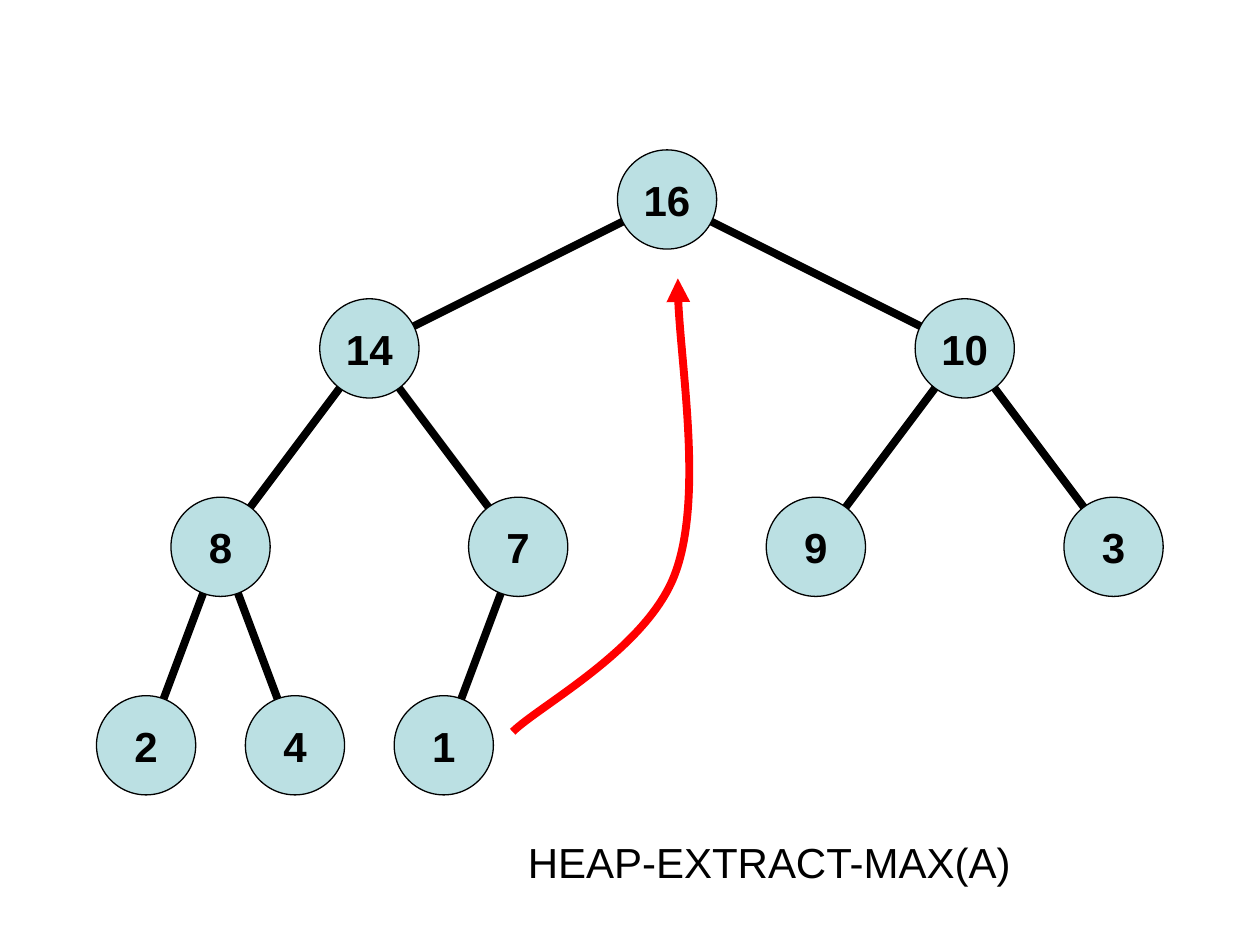
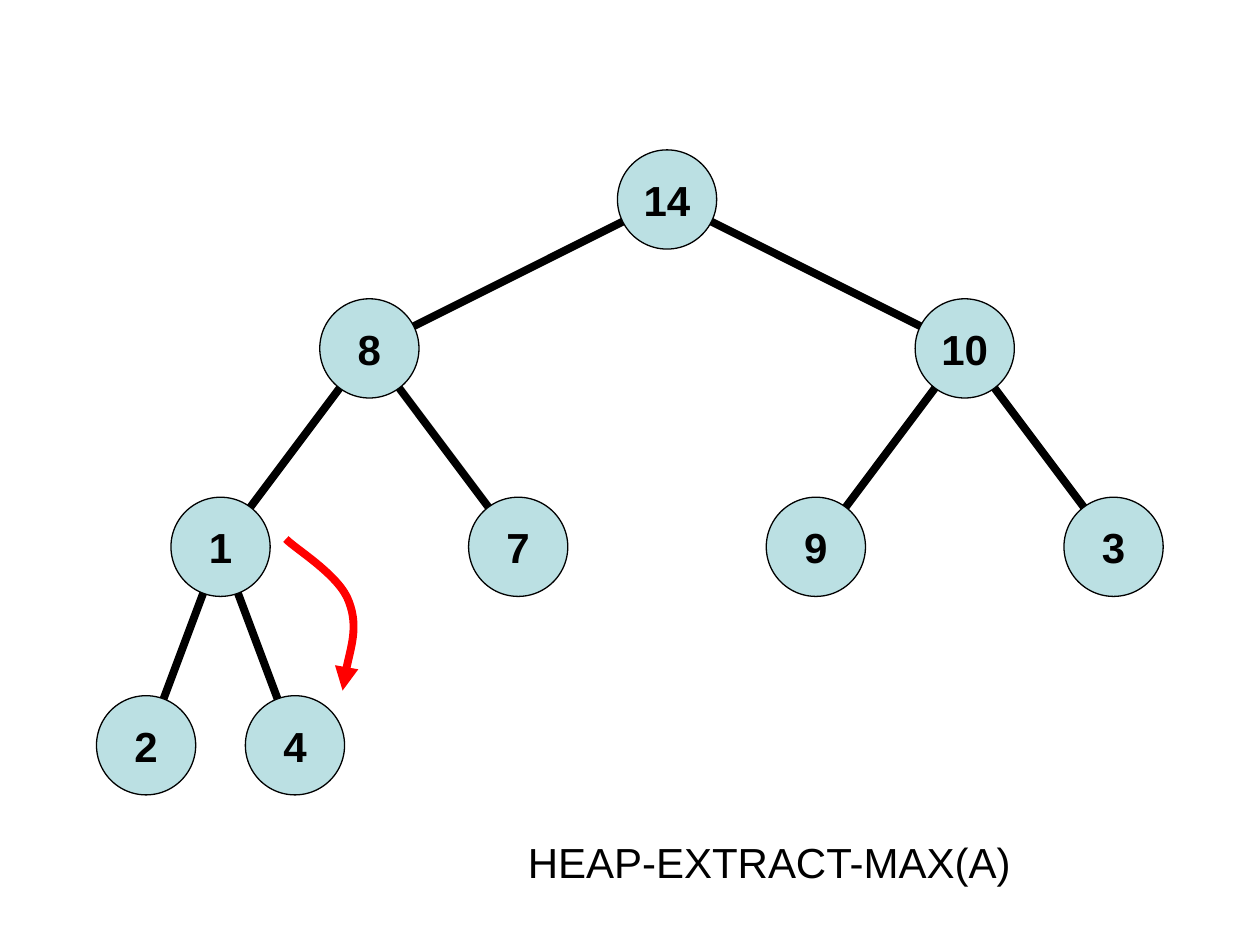
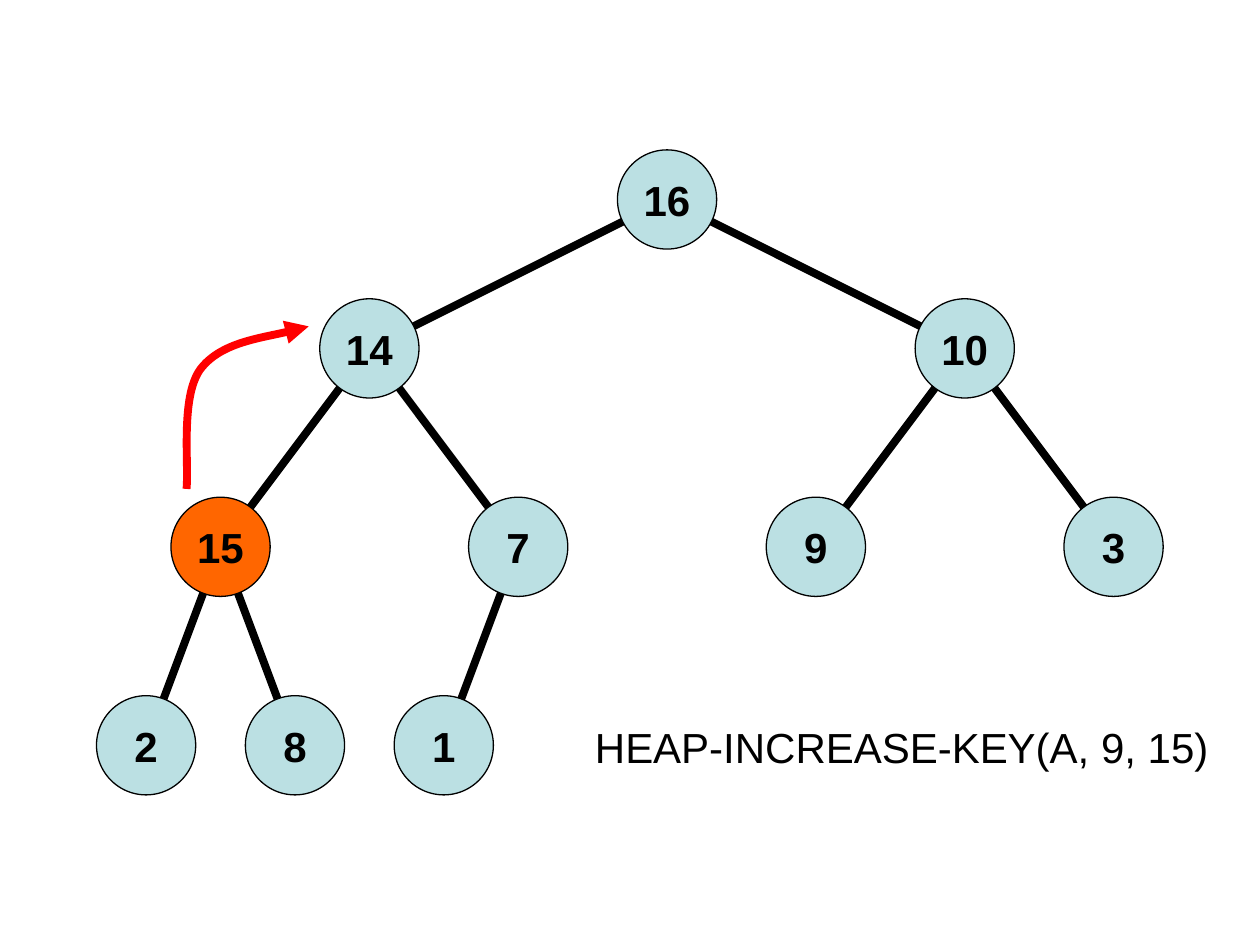
from pptx import Presentation
from pptx.dml.color import RGBColor
from pptx.enum.shapes import MSO_CONNECTOR, MSO_SHAPE
from pptx.enum.text import MSO_ANCHOR, MSO_AUTO_SIZE, PP_ALIGN
from pptx.oxml.ns import qn
from pptx.util import Pt
from lxml import etree

OVAL = MSO_SHAPE.OVAL
STRAIGHT = MSO_CONNECTOR.STRAIGHT
MIDDLE = MSO_ANCHOR.MIDDLE
FIT_SHAPE = MSO_AUTO_SIZE.SHAPE_TO_FIT_TEXT
CENTER = PP_ALIGN.CENTER

BLACK = RGBColor(0x00, 0x00, 0x00)
RED = RGBColor(0xFF, 0x00, 0x00)
ORANGE = RGBColor(0xFF, 0x66, 0x00)
PALE_BLUE = RGBColor(0xBB, 0xE0, 0xE3)

FONT = "Arial"
TEXT_SIZE = Pt(24)
EDGE_WIDTH = Pt(4.5)
NODE_SIZE = 56.7
ROOT_X = 381.2
CHILD_OFFSET = 170.1  # from the root to a child; halves at each level
LEVEL_Y = (114, 199.1, 312.5, 425.9)

EXTRACT_CAPTION = ("HEAP-EXTRACT-MAX(A)", 294.5, 474.5, 291.6)
INCREASE_CAPTION = ("HEAP-INCREASE-KEY(A, 9, 15)", 332.9, 408.8, 365)

# Keys in heap order, highlighted index, caption, Bezier points of the arrow
SLIDES = [
    ([16, 14, 10, 8, 7, 9, 3, 2, 4, 1], None, EXTRACT_CAPTION,
     [(293, 418.2), (308.2, 403.2), (370.1, 370.8), (385.9, 327.6),
      (401.8, 284.4), (386.6, 193.7), (387.4, 159.1)]),
    ([14, 8, 10, 1, 7, 9, 3, 2, 4], None, EXTRACT_CAPTION,
     [(163.4, 308), (169.2, 313.9), (194.4, 329), (199.5, 344),
      (205, 358.6), (196.6, 384.5), (195.8, 394.6)]),
    ([16, 14, 10, 15, 7, 9, 3, 2, 8, 1], 3, INCREASE_CAPTION,
     [(106.6, 279.4), (108, 265), (103, 226.8), (114.5, 211),
      (126, 195.8), (165.6, 190.1), (176.4, 186.5)]),
]


def node_center(index):
    if index == 0:
        return ROOT_X, LEVEL_Y[0]
    level = (index + 1).bit_length() - 1
    parent_x, _ = node_center((index - 1) // 2)
    side = -1 if index % 2 else 1
    return parent_x + side * CHILD_OFFSET / 2 ** (level - 1), LEVEL_Y[level]


def add_run(p, text, bold=False):
    r = p.add_run()
    r.text = text
    r.font.name = FONT
    r.font.size = TEXT_SIZE
    r.font.bold = bold
    r.font.color.rgb = BLACK


def add_edge(s, start, end):
    edge = s.shapes.add_connector(STRAIGHT, *map(Pt, start + end))
    edge.line.color.rgb = BLACK
    edge.line.width = EDGE_WIDTH
    etree.SubElement(edge._element.spPr, qn("a:effectLst"))


def add_node(s, key, center, color):
    x, y = center
    sp = s.shapes.add_shape(OVAL, Pt(x - NODE_SIZE / 2), Pt(y - NODE_SIZE / 2),
                            Pt(NODE_SIZE), Pt(NODE_SIZE))
    sp.shadow.inherit = False
    sp.fill.solid()
    sp.fill.fore_color.rgb = color
    sp.line.color.rgb = BLACK
    sp.line.width = Pt(0.75)
    tf = sp.text_frame
    tf.word_wrap = False
    tf.vertical_anchor = MIDDLE
    p = tf.paragraphs[0]
    p.alignment = CENTER
    add_run(p, str(key), bold=True)


def add_heap(s, keys, highlighted):
    centers = [node_center(i) for i in range(len(keys))]
    for i in range(1, len(keys)):
        add_edge(s, centers[i], centers[(i - 1) // 2])
    for i, key in enumerate(keys):
        add_node(s, key, centers[i], ORANGE if i == highlighted else PALE_BLUE)


def add_curved_arrow(s, points):
    """Draw cubic Bezier segments: a start, then three points per segment."""
    start, *rest = [(Pt(x), Pt(y)) for x, y in points]
    builder = s.shapes.build_freeform(*start)
    builder.add_line_segments(rest, close=False)
    sp = builder.convert_to_shape()
    sp.shadow.inherit = False
    sp.fill.background()
    sp.line.color.rgb = RED
    sp.line.width = EDGE_WIDTH
    etree.SubElement(sp.line._get_or_add_ln(), qn("a:tailEnd"), type="triangle")

    outline = next(sp._element.iter(qn("a:path")))
    segments = outline.findall(qn("a:lnTo"))
    for i in range(0, len(segments), 3):
        curve = etree.SubElement(outline, qn("a:cubicBezTo"))
        for segment in segments[i:i + 3]:
            curve.append(segment[0])
            outline.remove(segment)


def add_caption(s, text, left, top, width):
    tf = s.shapes.add_textbox(Pt(left), Pt(top), Pt(width), Pt(36)).text_frame
    tf.word_wrap = False
    tf.auto_size = FIT_SHAPE
    add_run(tf.paragraphs[0], text)


def main():
    prs = Presentation()
    prs.slide_width, prs.slide_height = Pt(720), Pt(540)
    blank = prs.slide_layouts[6]
    for keys, highlighted, caption, arrow in SLIDES:
        s = prs.slides.add_slide(blank)
        add_heap(s, keys, highlighted)
        add_curved_arrow(s, arrow)
        add_caption(s, *caption)
    prs.save("out.pptx")


if __name__ == "__main__":
    main()
